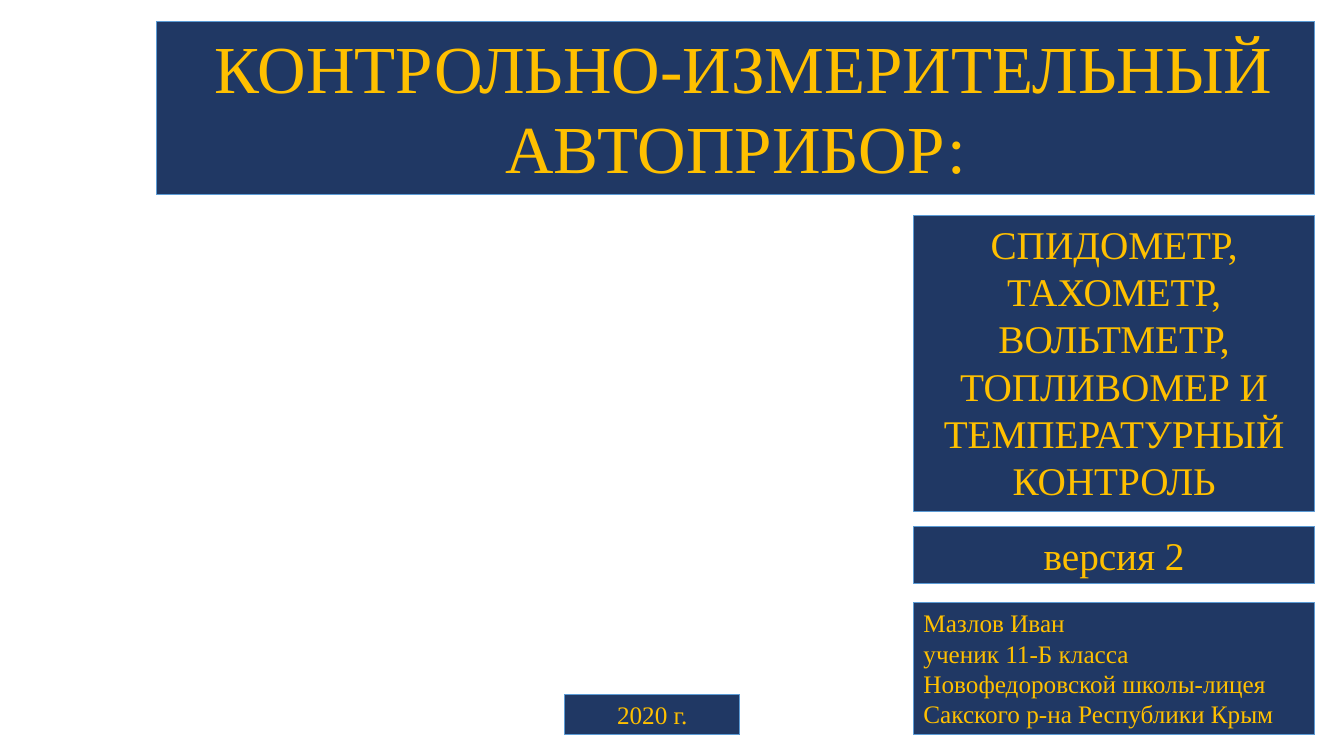
from dataclasses import dataclass

from pptx import Presentation
from pptx.dml.color import RGBColor
from pptx.enum.shapes import MSO_SHAPE as Shape
from pptx.enum.text import MSO_ANCHOR as Anchor, MSO_AUTO_SIZE as AutoSize, PP_ALIGN as Align
from pptx.slide import Slide
from pptx.text.text import TextFrame
from pptx.util import Inches, Pt

SLIDE_WIDTH, SLIDE_HEIGHT = Inches(13.33), Inches(7.5)
COLORS = {"panel": "203864", "border": "5B9BD5", "text": "FFC000"}
FONT = "Times New Roman"

# Shares of the slide's width and height, in percent
RIGHT_EDGE, BOTTOM_EDGE = 97.82, 97.2
SIDE_LEFT = 67.97
SIDE_WIDTH = RIGHT_EDGE - SIDE_LEFT
TITLE_LEFT = 11.63
YEAR_HEIGHT, AUTHOR_HEIGHT = 5.33, 17.47


@dataclass(frozen=True)
class Panel:
    """A text panel; its place and size are percentages of the slide."""
    left: float
    top: float
    width: float
    height: float
    lines: tuple[str, ...]
    size: int
    align: Align = Align.CENTER


PANELS = (
    Panel(42.01, BOTTOM_EDGE - YEAR_HEIGHT, 13.05, YEAR_HEIGHT, ("2020 г.",), 18),
    Panel(SIDE_LEFT, BOTTOM_EDGE - AUTHOR_HEIGHT, SIDE_WIDTH, AUTHOR_HEIGHT,
          ("Мазлов Иван", "ученик 11-Б класса", "Новофедоровской школы-лицея",
           "Сакского р-на Республики Крым"), 18, Align.LEFT),
    Panel(TITLE_LEFT, 2.8, RIGHT_EDGE - TITLE_LEFT, 22.93,
          (" КОНТРОЛЬНО-ИЗМЕРИТЕЛЬНЫЙ АВТОПРИБОР:",), 48),
    Panel(SIDE_LEFT, 28.53, SIDE_WIDTH, 39.07,
          ("СПИДОМЕТР, ТАХОМЕТР, ВОЛЬТМЕТР, ТОПЛИВОМЕР И",
           "ТЕМПЕРАТУРНЫЙ КОНТРОЛЬ"), 28),
    Panel(SIDE_LEFT, 69.6, SIDE_WIDTH, 7.6, ("версия 2",), 28),
)


def color(name: str) -> RGBColor:
    return RGBColor.from_string(COLORS[name])


def across(percent: float) -> int:
    return round(SLIDE_WIDTH * percent / 100)


def down(percent: float) -> int:
    return round(SLIDE_HEIGHT * percent / 100)


def write_lines(frame: TextFrame, lines: tuple[str, ...], *, size: int, align: Align) -> None:
    frame.word_wrap = True
    frame.auto_size = AutoSize.SHAPE_TO_FIT_TEXT
    frame.vertical_anchor = Anchor.TOP
    for index, line in enumerate(lines):
        paragraph = frame.add_paragraph() if index else frame.paragraphs[0]
        paragraph.alignment = align
        run = paragraph.add_run()
        run.text = line
        run.font.name = FONT
        run.font.size = Pt(size)
        run.font.color.rgb = color("text")


def draw_panel(slide: Slide, panel: Panel) -> None:
    box = slide.shapes.add_shape(Shape.RECTANGLE, across(panel.left), down(panel.top),
                                 across(panel.width), down(panel.height))
    box.shadow.inherit = False
    box.fill.solid()
    box.fill.fore_color.rgb = color("panel")
    box.line.color.rgb = color("border")
    box.line.width = Pt(0.75)
    write_lines(box.text_frame, panel.lines, size=panel.size, align=panel.align)


def main() -> None:
    presentation = Presentation()
    presentation.slide_width, presentation.slide_height = SLIDE_WIDTH, SLIDE_HEIGHT
    slide = presentation.slides.add_slide(presentation.slide_layouts[6])
    for panel in PANELS:
        draw_panel(slide, panel)
    presentation.save("out.pptx")


if __name__ == "__main__":
    main()
